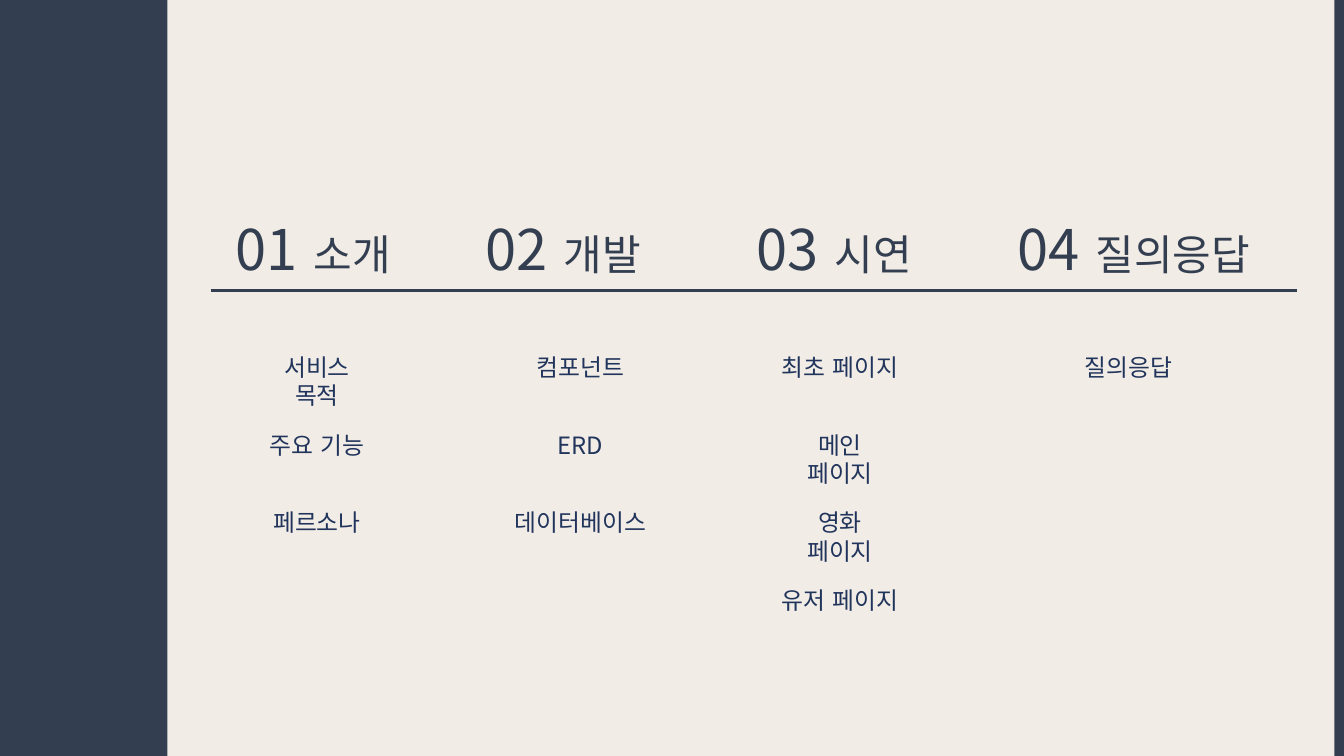
from lxml.etree import SubElement
from pptx import Presentation
from pptx.dml.color import RGBColor
from pptx.enum.lang import MSO_LANGUAGE_ID
from pptx.enum.shapes import MSO_CONNECTOR, MSO_SHAPE
from pptx.enum.text import MSO_AUTO_SIZE, PP_ALIGN
from pptx.oxml.ns import qn
from pptx.util import Cm, Pt

FONT = "Noto Sans CJK KR"
NAVY = RGBColor(0x33, 0x3F, 0x50)
INK = RGBColor(0x21, 0x34, 0x5C)
CREAM = RGBColor(0xF1, 0xEC, 0xE6)

SECTIONS = [
    dict(title="소개", left=5.69, width=5.38, center=7.99,
         topics=[("서비스 목적", 3.33), ("주요 기능", 3.33), ("페르소나", 3.33)]),
    dict(title="개발", left=11.99, width=5.38, center=14.63,
         topics=[("컴포넌트", 4.57), ("ERD", 4.11), ("데이터베이스", 4.11)]),
    dict(title="시연", left=18.82, width=5.38, center=21.17,
         topics=[("최초 페이지", 3.68), ("메인 페이지", 3.33),
                 ("영화 페이지", 3.33), ("유저 페이지", 4.14)]),
    dict(title="질의응답", left=25.4, width=7.06, center=28.44,
         topics=[("질의응답", 3.68)]),
]
HEAD_TOP, HEAD_HEIGHT = 4.93, 2.39
TOPIC_TOP, TOPIC_HEIGHT, TOPIC_PITCH = 8.76, 0.98, 1.96
RULE_LEFT, RULE_RIGHT, RULE_Y = 5.31, 32.69, 7.32


def add_text(s, runs, left, top, width, height, color=NAVY, align=PP_ALIGN.LEFT):
    tf = s.shapes.add_textbox(Cm(left), Cm(top), Cm(width), Cm(height)).text_frame
    tf.word_wrap = True
    tf.auto_size = MSO_AUTO_SIZE.SHAPE_TO_FIT_TEXT
    p = tf.paragraphs[0]
    p.alignment = align
    for text, size in runs:
        r = p.add_run()
        r.text = text
        r.font.size = Pt(size)
        r.font.color.rgb = color
        r.font.name = FONT
        r.font.language_id = MSO_LANGUAGE_ID.KOREAN
        SubElement(r.font._element, qn("a:ea"), typeface=FONT)


def main():
    prs = Presentation()
    prs.slide_width, prs.slide_height = Cm(33.87), Cm(19.05)
    s = prs.slides.add_slide(prs.slide_layouts[6])
    s.background.fill.solid()
    s.background.fill.fore_color.rgb = NAVY

    panel = s.shapes.add_shape(MSO_SHAPE.ROUNDED_RECTANGLE,
                               Cm(4.22), 0, Cm(29.41), prs.slide_height)
    panel.adjustments[0] = 0
    panel.shadow.inherit = False
    panel.fill.solid()
    panel.fill.fore_color.rgb = CREAM
    panel.line.fill.background()

    for number, section in enumerate(SECTIONS, 1):
        add_text(s, [(f"{number:02}", 40), (" ", 50), (section["title"], 30)],
                 section["left"], HEAD_TOP, section["width"], HEAD_HEIGHT)
        for row, (topic, width) in enumerate(section["topics"]):
            add_text(s, [(topic, 17)], section["center"] - width / 2,
                     TOPIC_TOP + row * TOPIC_PITCH, width, TOPIC_HEIGHT,
                     color=INK, align=PP_ALIGN.CENTER)

    rule = s.shapes.add_connector(MSO_CONNECTOR.STRAIGHT, Cm(RULE_LEFT), Cm(RULE_Y),
                                  Cm(RULE_RIGHT), Cm(RULE_Y))
    rule.line.color.rgb = NAVY
    rule.line.width = Pt(2)
    SubElement(rule._element.spPr, qn("a:effectLst"))

    prs.save("out.pptx")


if __name__ == "__main__":
    main()
